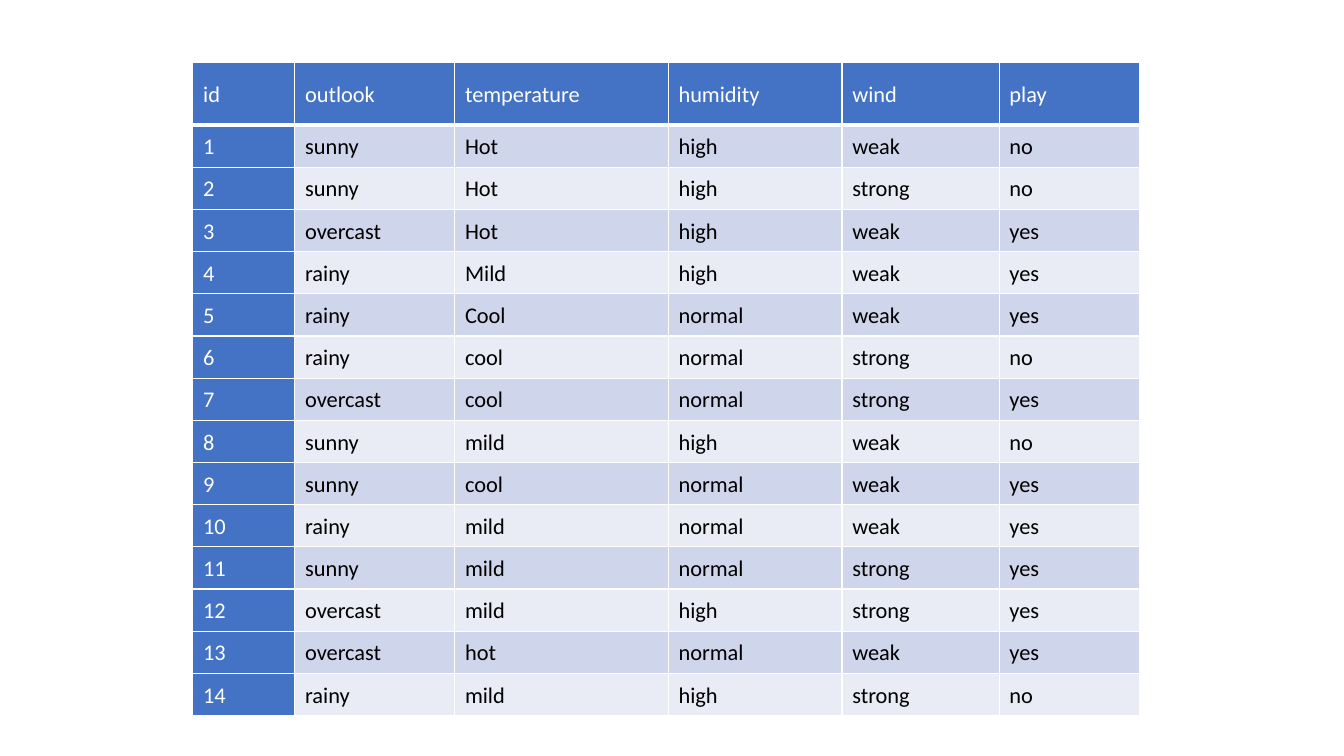
from lxml import etree
from pptx import Presentation, util as u
from pptx.dml.color import RGBColor
from pptx.enum import text
from pptx.oxml import ns

COLORS = {"heading": "4472C4", "odd": "CFD5EA", "even": "E9EBF5",
          "light": "FFFFFF", "dark": "000000"}
HEADINGS = ["id", "outlook", "temperature", "humidity", "wind", "play"]
DAYS = """
sunny Hot high weak no
sunny Hot high strong no
overcast Hot high weak yes
rainy Mild high weak yes
rainy Cool normal weak yes
rainy cool normal strong no
overcast cool normal strong yes
sunny mild high weak no
sunny cool normal weak yes
rainy mild normal weak yes
sunny mild normal strong yes
overcast mild high strong yes
overcast hot normal weak yes
rainy mild high strong no
""".strip().splitlines()
COLUMN_WIDTHS = [2.57, 4.03, 5.38, 4.38, 3.96, 3.53]
LEFT, TOP, HEIGHT, HEADING_HEIGHT = 4.86, 1.56, 16.48, 1.59


def write(cell, words, color="dark", size=16, font="Calibri"):
    """Put formatted, justified words in a table cell."""
    cell.vertical_anchor = text.MSO_ANCHOR.MIDDLE
    cell.margin_left = u.Cm(0.26)
    cell.margin_right = cell.margin_top = cell.margin_bottom = 0
    paragraph = cell.text_frame.paragraphs[0]
    paragraph.alignment = text.PP_ALIGN.JUSTIFY
    paragraph.line_spacing = 1.07
    paragraph.space_before = u.Pt(6)
    run = paragraph.add_run()
    run.text = words
    run.font.name = font
    run.font.size = u.Pt(size)
    run.font.color.rgb = RGBColor.from_string(COLORS[color])


def paint(cell, fill, bottom=1):
    """Give a cell its white borders and its fill."""
    properties = cell._tc.get_or_add_tcPr()
    for side, points in {"L": 1, "R": 1, "T": 1, "B": bottom}.items():
        border = etree.SubElement(properties, ns.qn(f"a:ln{side}"), w=str(u.Pt(points)))
        solid = etree.SubElement(border, ns.qn("a:solidFill"))
        etree.SubElement(solid, ns.qn("a:srgbClr"), val=COLORS["light"])
    cell.fill.solid()
    cell.fill.fore_color.rgb = RGBColor.from_string(COLORS[fill])


deck = Presentation()
deck.slide_width, deck.slide_height = u.Cm(33.87), u.Cm(19.05)
slide = deck.slides.add_slide(deck.slide_layouts[6])

records = [HEADINGS] + [[str(day), *line.split()] for day, line in enumerate(DAYS, 1)]
weather = slide.shapes.add_table(
    len(records), len(HEADINGS), u.Cm(LEFT), u.Cm(TOP),
    u.Cm(sum(COLUMN_WIDTHS)), u.Cm(HEIGHT)).table
weather.first_col = True

for column, width in zip(weather.columns, COLUMN_WIDTHS):
    column.width = u.Cm(width)
day_height = (HEIGHT - HEADING_HEIGHT) / len(DAYS)

for day, record in enumerate(records):
    weather.rows[day].height = u.Cm(day_height if day else HEADING_HEIGHT)
    for field, words in enumerate(record):
        cell = weather.cell(day, field)
        is_heading = day == 0 or field == 0
        band = "odd" if day % 2 else "even"
        write(cell, words, color="light" if is_heading else "dark")
        paint(cell, "heading" if is_heading else band, bottom=1 if day else 3)

deck.save("out.pptx")
